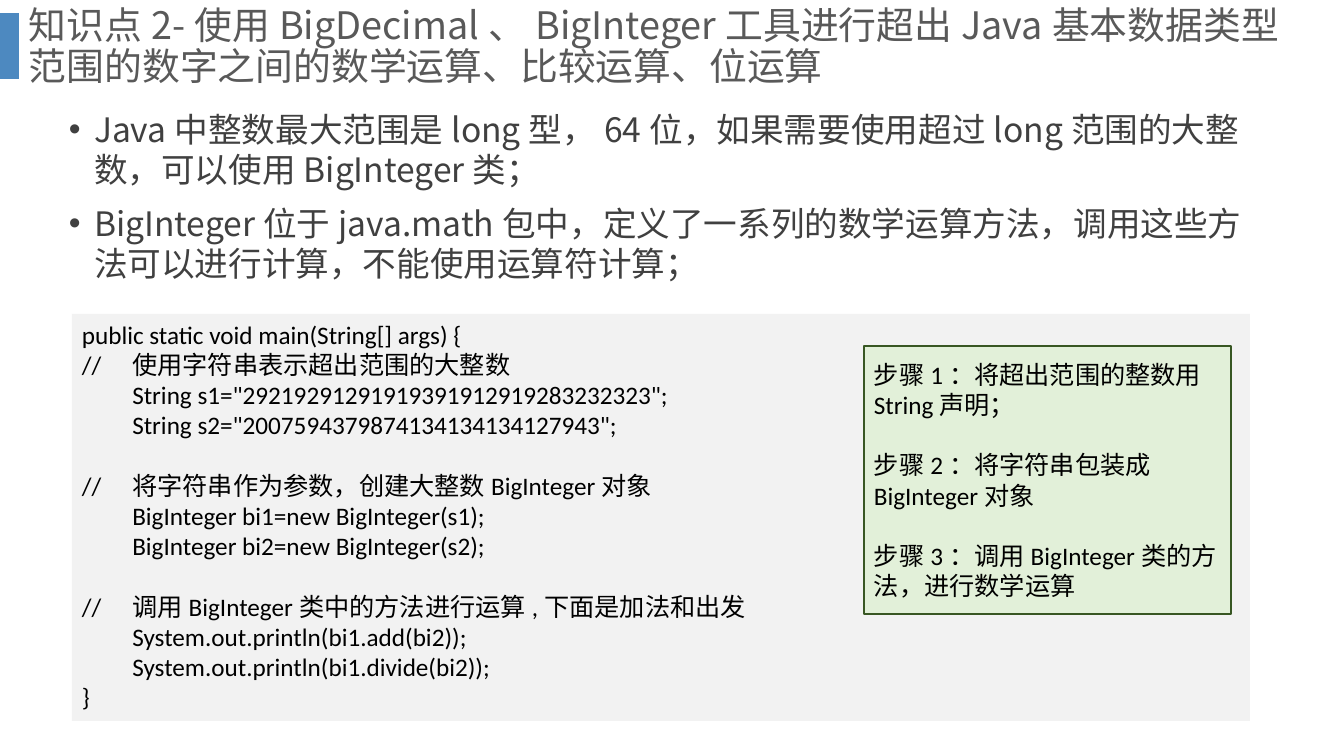
from dataclasses import dataclass

from lxml import etree
from pptx import Presentation
from pptx.dml.color import RGBColor
from pptx.enum.shapes import MSO_SHAPE
from pptx.enum.text import MSO_ANCHOR, PP_ALIGN
from pptx.oxml.ns import qn
from pptx.util import Pt

RECT = MSO_SHAPE.RECTANGLE
TOP, MIDDLE = MSO_ANCHOR.TOP, MSO_ANCHOR.MIDDLE
LEFT = PP_ALIGN.LEFT
EMU_PER_PX = 914400 / 100.8


def px(length):
    return round(length * EMU_PER_PX)


@dataclass(frozen=True)
class TextStyle:
    size: float
    leading: float
    color: str
    latin: str
    gap: float = 0
    bullet: bool = False


@dataclass(frozen=True)
class Theme:
    cjk: str = "Noto Sans CJK SC"
    accent: str = "2E75B6"
    code_fill: str = "F2F2F2"
    steps_fill: str = "E2F0D9"
    steps_line: str = "385723"
    title: TextStyle = TextStyle(27, 29.3, "595959", "Noto Sans CJK SC")
    body: TextStyle = TextStyle(24, 28.6, "404040", "Noto Sans CJK SC", 10, True)
    # Groups of code lines and steps stand one line apart
    code: TextStyle = TextStyle(18, 21.6, "000000", "Calibri", 21.6)


class SlideBuilder:
    def __init__(self, slide, theme):
        self.slide = slide
        self.theme = theme

    def box(self, bounds, fill, line=None, alpha=None):
        shape = self.slide.shapes.add_shape(RECT, *map(px, bounds))
        shape.shadow.inherit = False
        shape.fill.solid()
        shape.fill.fore_color.rgb = RGBColor.from_string(fill)
        if alpha:
            color = shape._element.spPr.find(qn("a:solidFill"))[0]
            etree.SubElement(color, qn("a:alpha"), val=str(alpha * 1000))
        if line:
            shape.line.color.rgb = RGBColor.from_string(line)
            shape.line.width = Pt(1)
        else:
            shape.line.fill.background()
        return shape

    def text_box(self, bounds, groups, style, anchor=TOP):
        shape = self.slide.shapes.add_textbox(*map(px, bounds))
        self.fill_text(shape, groups, style, anchor)

    def fill_text(self, shape, groups, style, anchor=TOP):
        """Set groups of lines; each group after the first is set apart."""
        frame = shape.text_frame
        for name, value in {"word_wrap": True, "vertical_anchor": anchor}.items():
            setattr(frame, name, value)
        paragraph = frame.paragraphs[0]
        for group_index, group in enumerate(groups):
            for line_index, line in enumerate(group):
                starts_group = group_index > 0 and line_index == 0
                if group_index or line_index:
                    paragraph = frame.add_paragraph()
                layout = {
                    "alignment": LEFT,
                    "line_spacing": Pt(style.leading),
                    "space_before": Pt(style.gap if starts_group else 0),
                }
                for name, value in layout.items():
                    setattr(paragraph, name, value)
                if style.bullet:
                    self.bullet(paragraph)
                self.add_text(paragraph, line, style)

    def add_text(self, paragraph, text, style):
        run = paragraph.add_run()
        run.text = text
        for name, value in {"size": Pt(style.size), "name": style.latin}.items():
            setattr(run.font, name, value)
        run.font.color.rgb = RGBColor.from_string(style.color)
        etree.SubElement(run.font._element, qn("a:ea"), typeface=self.theme.cjk)

    def bullet(self, paragraph):
        properties = paragraph._p.get_or_add_pPr()
        properties.set("marL", "228600")
        properties.set("indent", "-228600")
        etree.SubElement(properties, qn("a:buFont"), typeface="Arial")
        etree.SubElement(properties, qn("a:buChar"), char="•")


title = "知识点2-使用BigDecimal、BigInteger工具进行超出Java基本数据类型范围的数字之间的数学运算、比较运算、位运算"
key_points = [
    ["Java中整数最大范围是long型，64位，如果需要使用超过long范围的大整数，可以使用BigInteger类；"],
    ["BigInteger位于java.math包中，定义了一系列的数学运算方法，调用这些方法可以进行计算，不能使用运算符计算；"],
]
code_groups = [
    [
        "public static void main(String[] args) {",
        "//\t使用字符串表示超出范围的大整数",
        '\tString s1="29219291291919391912919283232323";',
        '\tString s2="2007594379874134134134127943";',
    ],
    [
        "//\t将字符串作为参数，创建大整数BigInteger对象",
        "\tBigInteger bi1=new BigInteger(s1);",
        "\tBigInteger bi2=new BigInteger(s2);",
    ],
    [
        "//\t调用BigInteger类中的方法进行运算,下面是加法和出发",
        "\tSystem.out.println(bi1.add(bi2));",
        "\tSystem.out.println(bi1.divide(bi2));",
        "}",
    ],
]
steps = [
    ["步骤1：将超出范围的整数用String声明；"],
    ["步骤2：将字符串包装成BigInteger对象"],
    ["步骤3：调用BigInteger类的方法，进行数学运算"],
]

presentation = Presentation()
presentation.slide_width, presentation.slide_height = px(1344), px(756)
theme = Theme()
builder = SlideBuilder(
    presentation.slides.add_slide(presentation.slide_layouts[6]), theme
)

# Heading with accent bar
builder.box((0, 13, 19, 66), theme.accent, alpha=85)
builder.text_box((19, 0, 1276, 94), [[title]], theme.title, MIDDLE)

# Key points
builder.text_box((59, 104, 1215, 194), key_points, theme.body)

# Code sample
code_panel = builder.box((72, 314, 1178, 407), theme.code_fill)
builder.fill_text(code_panel, code_groups, theme.code)

# Steps beside the code
steps_panel = builder.box((864, 346, 367, 268), theme.steps_fill, theme.steps_line)
builder.fill_text(steps_panel, steps, theme.code, MIDDLE)

presentation.save("out.pptx")
